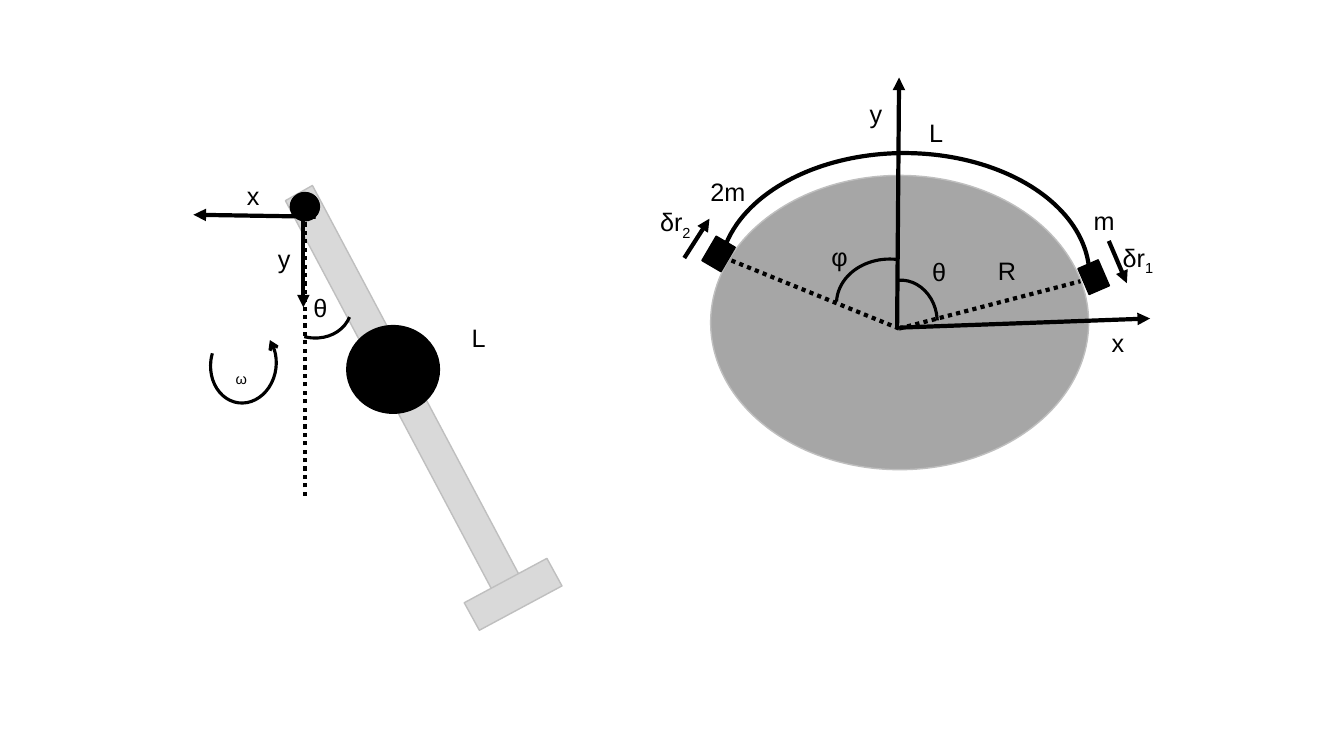
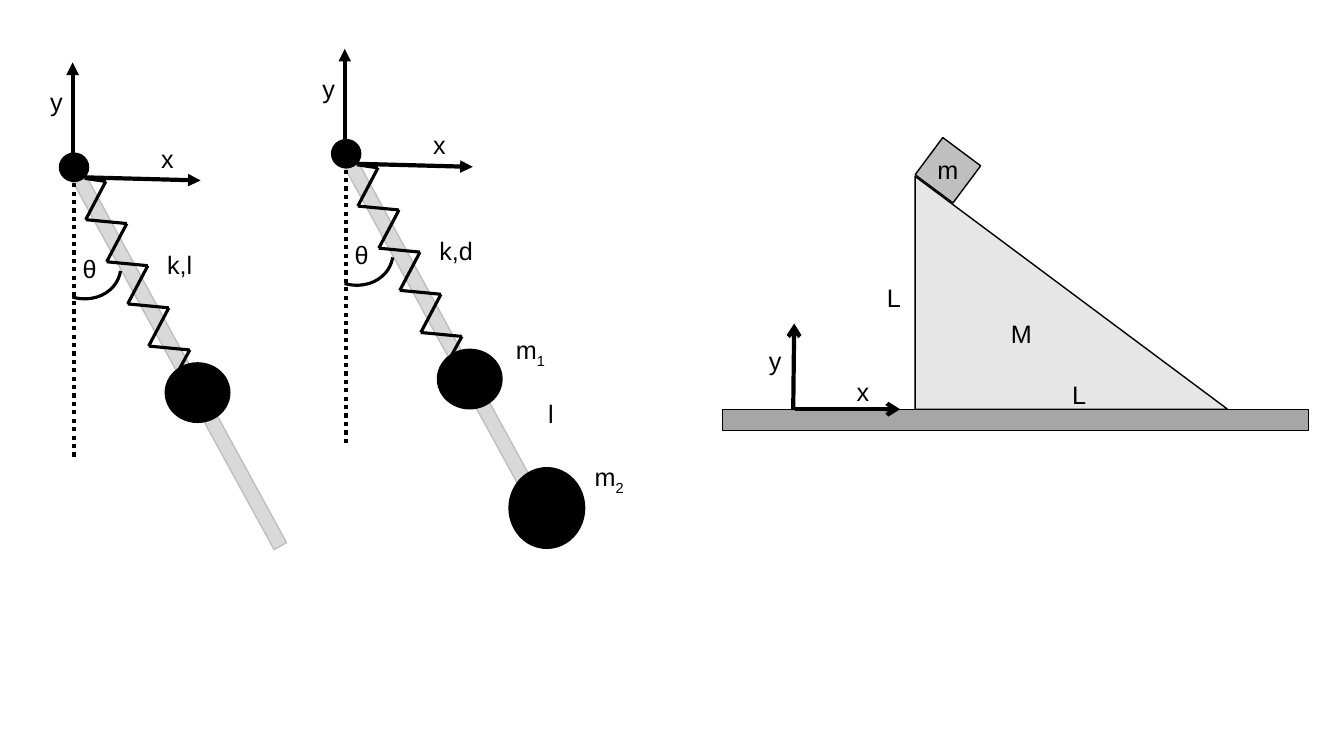
import itertools

import pptx
import pptx.dml.color
import pptx.enum.dml
import pptx.enum.shapes
import pptx.enum.text
import pptx.oxml
import pptx.oxml.ns
import pptx.util

Pt = pptx.util.Pt
RGBColor = pptx.dml.color.RGBColor
SHAPE = pptx.enum.shapes.MSO_SHAPE
DOTTED = pptx.enum.dml.MSO_LINE.ROUND_DOT

BLACK = RGBColor(0x00, 0x00, 0x00)
SILVER = RGBColor(0xBF, 0xBF, 0xBF)
ROD_GREY = RGBColor(0xD9, 0xD9, 0xD9)
BODY_GREY = RGBColor(0xA6, 0xA6, 0xA6)
WEDGE_GREY = RGBColor(0xE7, 0xE6, 0xE6)

LABEL_FONT = {"name": "Arial", "size": Pt(18)}
LABEL_FRAME = {
    "word_wrap": False,
    "auto_size": pptx.enum.text.MSO_AUTO_SIZE.SHAPE_TO_FIT_TEXT,
}
THIN, MEDIUM, THICK = 1, 2.25, 3
LABEL_HEIGHT = 29.1


def apply_format(target, values):
    for name, value in values.items():
        setattr(target, name, value)


def add_line_end(drawn, end, style):
    """Put an arrowhead on one end ("head" or "tail") of a line."""
    outline = drawn.line._get_or_add_ln()
    mark = pptx.oxml.parse_xml(
        f'<a:{end}End {pptx.oxml.ns.nsdecls("a")} type="{style}"/>')
    outline.append(mark)


class Sketch:
    """A grouped diagram; all positions are points from its origin."""

    def __init__(self, page, left, top):
        self.shapes = page.shapes.add_group_shape().shapes
        self.left, self.top = left, top

    def place(self, x, y):
        return Pt(self.left + x), Pt(self.top + y)

    def shape(self, kind, box, fill=None, edge=BLACK, width=THIN,
              turn=0, adjust=()):
        x, y, wide, high = box
        drawn = self.shapes.add_shape(kind, *self.place(x, y), Pt(wide), Pt(high))
        drawn.shadow.inherit = False
        drawn.rotation = turn
        for index, value in enumerate(adjust):
            drawn.adjustments[index] = value
        if fill is None:
            drawn.fill.background()
        else:
            drawn.fill.solid()
            drawn.fill.fore_color.rgb = fill
        drawn.line.color.rgb = edge
        drawn.line.width = Pt(width)
        return drawn

    def ball(self, box):
        return self.shape(SHAPE.OVAL, box, BLACK)

    def rod(self, box, turn, adjust=()):
        return self.shape(SHAPE.PARALLELOGRAM, box, ROD_GREY, SILVER,
                          turn=turn, adjust=adjust)

    def arc(self, box, adjust, turn=0, width=MEDIUM):
        return self.shape(SHAPE.ARC, box, width=width, turn=turn, adjust=adjust)

    def line(self, start, end, width=THICK, dash=None, arrow=None):
        drawn = self.shapes.add_connector(
            pptx.enum.shapes.MSO_CONNECTOR.STRAIGHT,
            *self.place(*start), *self.place(*end))
        drawn.line.color.rgb = BLACK
        drawn.line.width = Pt(width)
        if dash:
            drawn.line.dash_style = dash
        if arrow:
            add_line_end(drawn, "tail", arrow)
        drawn._element.spPr.append(pptx.oxml.parse_xml(
            f'<a:effectLst {pptx.oxml.ns.nsdecls("a")}/>'))

    def label(self, x, y, wide, text="", subscript="", high=LABEL_HEIGHT):
        box = self.shapes.add_textbox(*self.place(x, y), Pt(wide), Pt(high))
        apply_format(box.text_frame, LABEL_FRAME)
        para = box.text_frame.paragraphs[0]
        for content, lowered in ((text, False), (subscript, True)):
            if not content:
                continue
            span = para.add_run()
            span.text = content
            apply_format(span.font, LABEL_FONT)
            span.font.color.rgb = BLACK
            if lowered:
                span._r.get_or_add_rPr().set("baseline", "-25000")


def draw_pivot(sketch, arc_turn, arc_start):
    """Pivot at the origin, dotted vertical and the angle from it."""
    sketch.ball((-10.4, -10.1, 20.8, 20.2))
    sketch.line((0, 206.6), (0, 0), dash=DOTTED)
    sketch.label(-1, 57.6, 24.5, "θ")
    sketch.arc((-21, 38.2, 51.1, 59), (arc_start, 209.39), arc_turn)


def draw_rotating_pendulum(page, left, top):
    sketch = Sketch(page, left, top)
    sketch.rod((55.1, -28.1, 29.5, 316.1), 330.7)
    draw_pivot(sketch, 112.3, 162)
    # Axes
    sketch.line((-1.1, 0.7), (-1.1, 72), arrow="triangle")
    sketch.line((7.6, 7.2), (-79.6, 5.8), arrow="triangle")
    sketch.label(-26.3, 22.3, 23.8, "y")
    sketch.label(-48.6, -22.3, 23.8, "x")
    # Mass and foot
    sketch.label(112, 79.2, 24.5, "L")
    sketch.ball((29.9, 85, 66.2, 62.6))
    sketch.rod((137.2, 243.4, 23, 67), 241.3, (0.024,))
    # Sense of rotation
    spin = sketch.arc((-67.3, 85, 46.8, 55.4), (185.93, 115.256), 7.5)
    add_line_end(spin, "head", "arrow")
    sketch.label(-56.5, 100.8, 23.8, subscript="ω", high=21.6)


def draw_disc(page, left, top):
    sketch = Sketch(page, left, top)
    # Disc, the two blocks and the rope
    sketch.shape(SHAPE.OVAL, (-134.6, -109.4, 270, 210.2), BODY_GREY, SILVER)
    for x, y, turn in ((-139, -61.2, 300.4), (128.9, -44.6, 66.6)):
        sketch.shape(SHAPE.RECTANGLE, (x, y, 20.2, 15.8), BLACK, turn=turn)
    sketch.arc((-128.2, -125.3, 264.2, 175.7), (112.16, 213.71), width=THICK)
    # Radii and angles
    for rim in ((-122.4, -49.7), (129.6, -33.8)):
        sketch.line((0, 0), rim, dash=DOTTED)
    sketch.arc((-23.8, -34.6, 51.1, 59), (162, 1.485), 356)
    sketch.arc((-38.2, -56.2, 64.8, 77.8), (162, 3.16), 273.2)
    # Displacements and axes
    for start, end in (
        ((149.8, -62.6), (162.7, -32.4)),
        ((-153.4, -50.4), (-135.4, -78.5)),
        ((-1.4, -0.7), (0, -179.3)),
        ((0.7, -0.7), (179.3, -7.2)),
    ):
        sketch.line(start, end, arrow="triangle")
    for label in (
        (16.6, -55.4, 24.5, "θ"),
        (-55.4, -66.2, 25.9, "φ"),
        (14.4, -154.1, 24.5, "L"),
        (63.4, -56.2, 27.4, "R"),
        (-141.8, -112.3, 39.6, "2m"),
        (131.8, -91.4, 29.5, "m"),
        (152.6, -65.5, 37.4, "δr", "1"),
        (-177.8, -90.7, 37.4, "δr", "2"),
        (144.7, -4.3, 23.8, "x"),
        (-28.1, -167.8, 23.8, "y"),
    ):
        sketch.label(*label)


def draw_spring_pendulum(page, left, top, spring_name, name_width):
    sketch = Sketch(page, left, top)
    sketch.rod((66.6, -18.7, 13.7, 308.2), 330.7)
    draw_pivot(sketch, 114.1, 155.05)
    sketch.label(59.4, 54.7, name_width, spring_name)
    # Axes
    sketch.line((-1, 0.7), (-1, -74.9), arrow="triangle")
    sketch.line((7.6, 7.2), (90.4, 9.4), arrow="triangle")
    sketch.label(-24.1, -61.2, 23.8, "y")
    sketch.label(55.1, -20.9, 23.8, "x")
    # Mass and zigzag spring
    sketch.ball((65.2, 139.7, 46.1, 42.5))
    turns = [(7.6, 7.9)]
    for step in range(5):
        turns.append((22.7 + 15 * step, 10.1 + 30.1 * step))
        turns.append((8.3 + 15 * step, 37.4 + 30.1 * step))
    turns[-1] = (74.5, 145.4)
    for start, end in itertools.pairwise(turns):
        sketch.line(start, end, MEDIUM)
    return sketch


def add_second_mass(sketch):
    sketch.ball((116.3, 224.3, 54, 57.6))
    sketch.label(137.2, 171, 18.7, "l")
    sketch.label(114.1, 125.6, 36.7, "m", "1")
    sketch.label(170.3, 216.4, 36.7, "m", "2")


def draw_wedge(page, left, top):
    sketch = Sketch(page, left, top)
    # Ground, wedge and sliding block
    sketch.shape(SHAPE.RECTANGLE, (0, 0, 418.3, 15.1), BODY_GREY)
    sketch.shape(SHAPE.ISOSCELES_TRIANGLE, (137.5, -166.3, 223.2, 166.3),
                 WEDGE_GREY, adjust=(0,))
    sketch.shape(SHAPE.RECTANGLE, (144, -187.2, 33.8, 33.1), SILVER, turn=36.7)
    # Axes
    sketch.line((51.8, 0), (126.7, 0), arrow="arrow")
    sketch.line((50.4, 0.7), (51.1, -61.2), arrow="arrow")
    for label in (
        (88.6, -27.4, 23.8, "x"),
        (25.9, -49, 23.8, "y"),
        (146.2, -185.8, 29.5, "m"),
        (198.7, -68.4, 29.5, "M"),
        (110.2, -94.3, 29.5, "L"),
        (242.6, -25.2, 29.5, "L"),
    ):
        sketch.label(*label)


deck = pptx.Presentation()
deck.slide_width, deck.slide_height = Pt(960), Pt(540)
blank = deck.slide_layouts[6]

# Rotating pendulum and masses on a disc
page = deck.slides.add_slide(blank)
draw_rotating_pendulum(page, 217.8, 147.6)
draw_disc(page, 642.2, 234.7)

# Spring pendulums and block on a wedge
page = deck.slides.add_slide(blank)
draw_spring_pendulum(page, 52.9, 119.5, "k,l", 32.4)
draw_wedge(page, 516.2, 292.3)
add_second_mass(draw_spring_pendulum(page, 247.3, 109.8, "k,d", 38.9))

deck.save("out.pptx")
